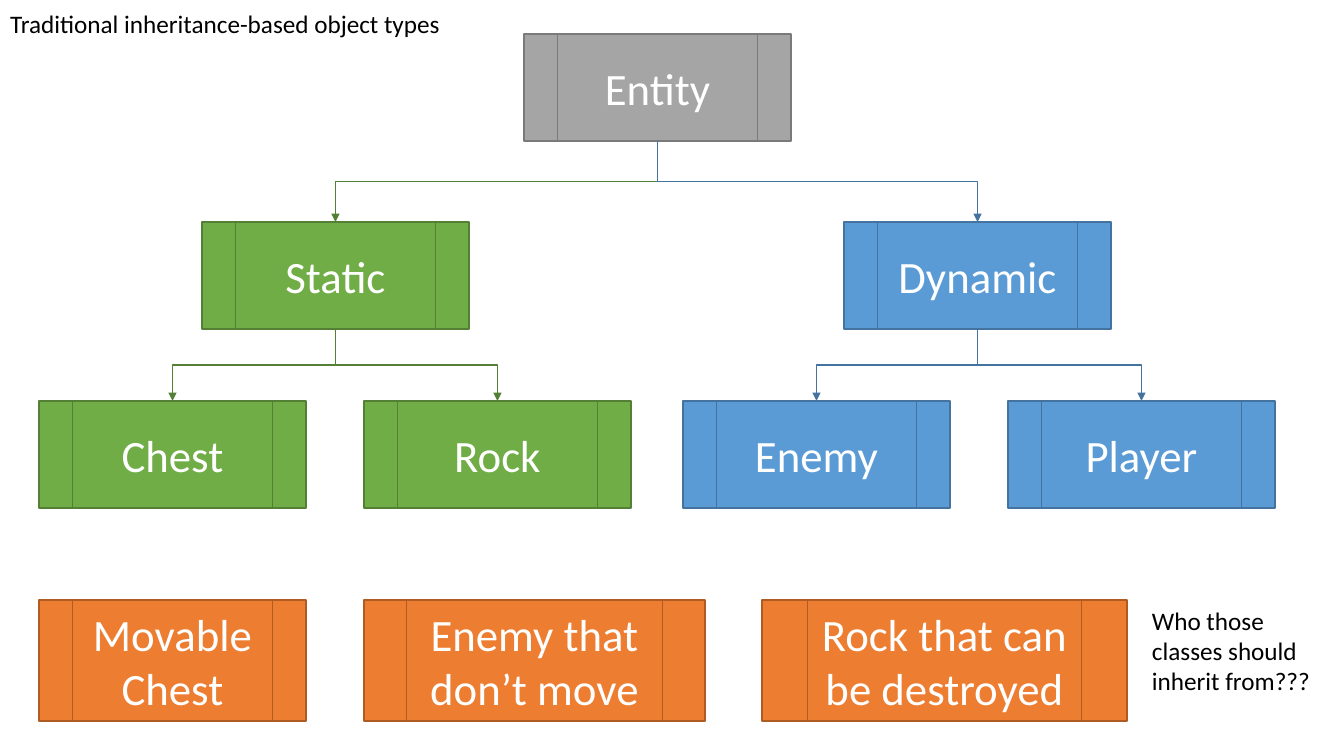
from lxml import etree
from pptx import Presentation, util as u
from pptx.dml.color import RGBColor
from pptx.enum import shapes, text
from pptx.oxml.ns import qn

WHITE = RGBColor(0xFF, 0xFF, 0xFF)
BLACK = RGBColor(0x00, 0x00, 0x00)
# Each pair is fill and outline
GRAY = RGBColor(0xA5, 0xA5, 0xA5), RGBColor(0x7A, 0x7A, 0x7A)
GREEN = RGBColor(0x70, 0xAD, 0x47), RGBColor(0x53, 0x80, 0x35)
BLUE = RGBColor(0x5B, 0x9B, 0xD5), RGBColor(0x43, 0x73, 0x9E)
ORANGE = RGBColor(0xED, 0x7D, 0x31), RGBColor(0xAF, 0x5C, 0x24)


def px(pixels):
    return u.Emu(round(pixels * 12192000 / 1344))


def write(shape, wording, size, color, align, anchor):
    frame = shape.text_frame
    frame.text = wording
    frame.word_wrap = True
    frame.auto_size = text.MSO_AUTO_SIZE.NONE
    frame.vertical_anchor = anchor
    paragraph = frame.paragraphs[0]
    paragraph.alignment = align
    paragraph.font.name = "Calibri"
    paragraph.font.size = u.Pt(size)
    paragraph.font.color.rgb = color


prs = Presentation()
prs.slide_width, prs.slide_height = px(1344), px(756)
slide = prs.slides.add_slide(prs.slide_layouts[5])

# Heading and side question
heading = slide.shapes.title
heading.left, heading.top, heading.width, heading.height = px(0), px(3), px(560), px(40)
question = slide.shapes.add_textbox(px(1142), px(600), px(181), px(102))
for note, wording in [
    (heading, "Traditional inheritance-based object types"),
    (question, "Who those classes should inherit from???"),
]:
    write(note, wording, 18, BLACK, text.PP_ALIGN.LEFT, text.MSO_ANCHOR.TOP)

# Class boxes: name, left, top, width, height, colours
WIDTH, HEIGHT = 267, 107
LEVELS = 34, 222, 401
ORPHAN_TOP, ORPHAN_HEIGHT = 600, 121
classes = [
    ("Entity", 524, LEVELS[0], WIDTH, HEIGHT, GRAY),
    ("Static", 202, LEVELS[1], WIDTH, HEIGHT, GREEN),
    ("Dynamic", 844, LEVELS[1], WIDTH, HEIGHT, BLUE),
    ("Chest", 39, LEVELS[2], WIDTH, HEIGHT, GREEN),
    ("Rock", 364, LEVELS[2], WIDTH, HEIGHT, GREEN),
    ("Enemy", 683, LEVELS[2], WIDTH, HEIGHT, BLUE),
    ("Player", 1008, LEVELS[2], WIDTH, HEIGHT, BLUE),
    ("Movable Chest", 39, ORPHAN_TOP, WIDTH, ORPHAN_HEIGHT, ORANGE),
    ("Enemy that don’t move", 364, ORPHAN_TOP, 341, ORPHAN_HEIGHT, ORANGE),
    ("Rock that can be destroyed", 762, ORPHAN_TOP, 365, ORPHAN_HEIGHT, ORANGE),
]
boxes = {}
for name, left, top, width, height, (fill, outline) in classes:
    box = slide.shapes.add_shape(
        shapes.MSO_SHAPE.FLOWCHART_PREDEFINED_PROCESS,
        px(left), px(top), px(width), px(height))
    box.shadow.inherit = False
    box.fill.solid()
    box.fill.fore_color.rgb = fill
    box.line.color.rgb = outline
    box.line.width = u.Pt(1)
    write(box, name, 32, WHITE, text.PP_ALIGN.CENTER, text.MSO_ANCHOR.MIDDLE)
    boxes[name] = box

# Inheritance arrows, from bottom of parent to top of child
inheritance = [
    ("Entity", "Static", GREEN), ("Entity", "Dynamic", BLUE),
    ("Static", "Chest", GREEN), ("Static", "Rock", GREEN),
    ("Dynamic", "Enemy", BLUE), ("Dynamic", "Player", BLUE),
]
for parent_name, child_name, (_, outline) in inheritance:
    parent, child = boxes[parent_name], boxes[child_name]
    arrow = slide.shapes.add_connector(shapes.MSO_CONNECTOR.ELBOW, 0, 0, 0, 0)
    arrow.begin_connect(parent, 2)
    arrow.end_connect(child, 0)

    # An elbow that leaves downwards is a horizontal one turned a quarter
    start_x = parent.left + parent.width // 2
    start_y = parent.top + parent.height
    end_x = child.left + child.width // 2
    run, drop = abs(end_x - start_x), child.top - start_y
    arrow.left = u.Emu((start_x + end_x - drop) // 2)
    arrow.top = u.Emu((start_y + child.top - run) // 2)
    arrow.width, arrow.height = u.Emu(drop), u.Emu(run)
    goes_right = end_x > start_x
    properties = arrow._element.spPr
    xfrm = properties.find(qn("a:xfrm"))
    xfrm.set("rot", str((270 if goes_right else 90) * 60000))
    xfrm.set("flipH", "1" if goes_right else "0")
    xfrm.set("flipV", "0")

    arrow.line.color.rgb = outline
    arrow.line.width = u.Pt(1)
    etree.SubElement(properties.find(qn("a:ln")), qn("a:tailEnd"), type="triangle")
    etree.SubElement(properties, qn("a:effectLst"))

prs.save("out.pptx")
